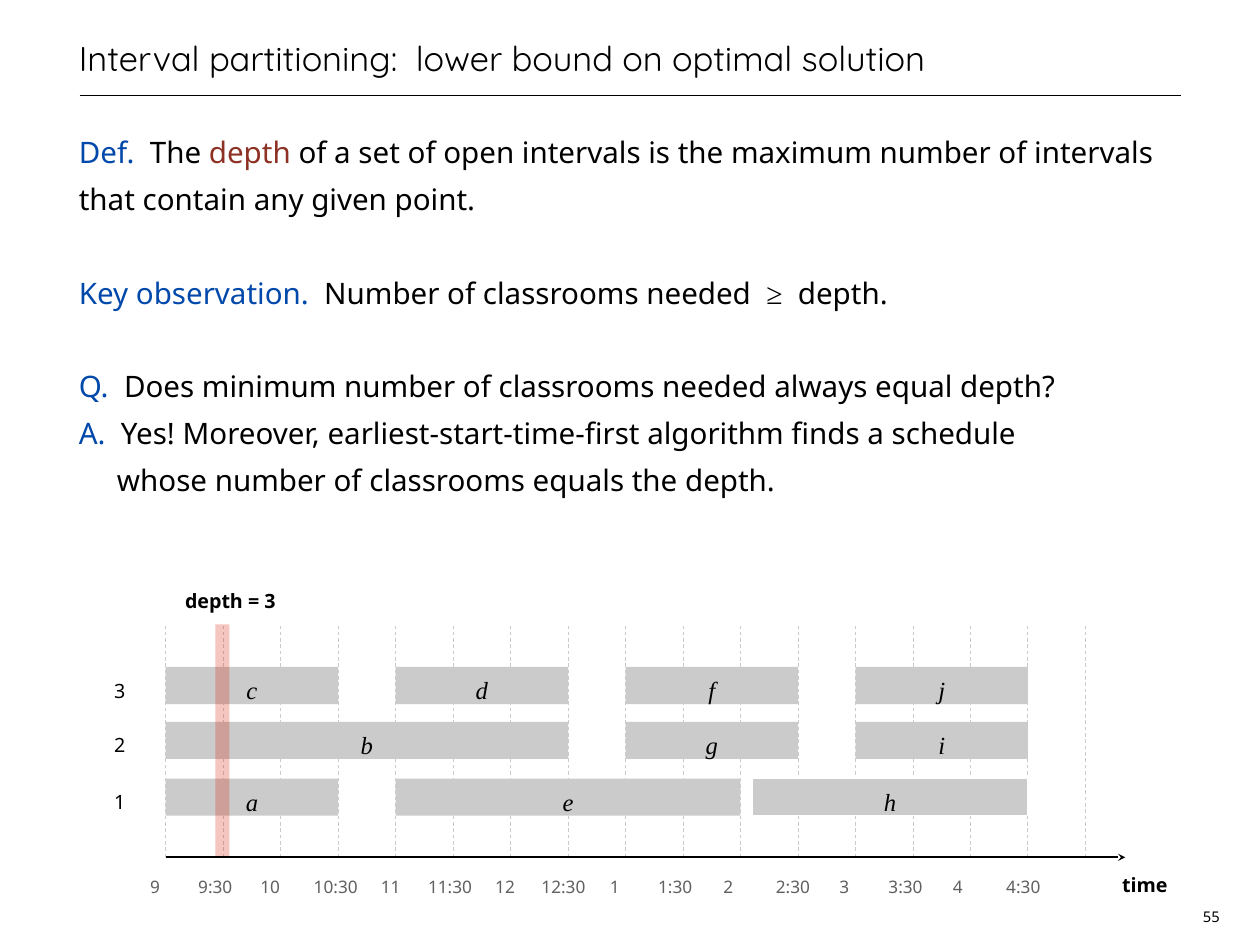
from lxml.etree import SubElement
from pptx import Presentation
from pptx.dml.color import RGBColor
from pptx.enum.dml import MSO_LINE
from pptx.enum.shapes import MSO_CONNECTOR, MSO_SHAPE
from pptx.enum.text import MSO_ANCHOR, MSO_AUTO_SIZE, PP_ALIGN
from pptx.oxml.ns import qn
from pptx.util import Inches, Pt

BLACK = RGBColor(0x00, 0x00, 0x00)
WHITE = RGBColor(0xFF, 0xFF, 0xFF)
BLUE = RGBColor(0x00, 0x48, 0xAA)
MAROON = RGBColor(0x8D, 0x31, 0x24)
RED = RGBColor(0xD8, 0x1E, 0x00)
SILVER = RGBColor(0xCB, 0xCB, 0xCB)
GRAY = RGBColor(0x60, 0x60, 0x60)
SANS, SERIF, HEADING = "Noto Sans", "Times New Roman", "Quicksand"

TITLE = "Interval partitioning:  lower bound on optimal solution"
STATEMENTS = [
    (0, [("Def.  ", BLUE, SANS), ("The ", BLACK, SANS), ("depth", MAROON, SANS),
         (" of a set of open intervals is the maximum number of intervals"
          " that contain any given point.", BLACK, SANS)]),
    (38, [("Key observation.  ", BLUE, SANS),
          ("Number of classrooms needed  ", BLACK, SANS),
          ("≥", BLACK, SERIF), ("  depth.", BLACK, SANS)]),
    (38, [("Q.  ", BLUE, SANS),
          ("Does minimum number of classrooms needed always equal depth?", BLACK, SANS)]),
    (0, [("A.  ", BLUE, SANS),
         ("Yes! Moreover, earliest-start-time-first algorithm finds a schedule",
          BLACK, SANS)]),
    (0, [("whose number of classrooms equals the depth.", BLACK, SANS)]),
]
ANSWER_INDENT = 0.43

CLASSROOM_TOPS = {"3": 7.53, "2": 8.15, "1": 8.79}
LECTURES = [
    ("a", "1", 0, 3), ("b", "2", 0, 7), ("c", "3", 0, 3), ("d", "3", 4, 7),
    ("e", "1", 4, 10), ("f", "3", 8, 11), ("g", "2", 8, 11),
    ("h", "1", 10.2, 15), ("i", "2", 12, 15), ("j", "3", 12, 15),
]
HOURS = [
    ("9", 1.75), ("9:30", 2.43), ("10", 3.05), ("10:30", 3.79),
    ("11", 4.41), ("11:30", 5.08), ("12", 5.7), ("12:30", 6.36),
    ("1", 6.94), ("1:30", 7.62), ("2", 8.22), ("2:30", 8.95),
    ("3", 9.53), ("3:30", 10.22), ("4", 10.81), ("4:30", 11.55),
]
SLOTS = 16
GRID_LEFT, GRID_RIGHT = 1.87, 12.25
GRID_TOP, AXIS_Y, AXIS_END = 7.07, 9.68, 12.7
LECTURE_HEIGHT = 0.42

deck = Presentation()
deck.slide_width, deck.slide_height = Inches(14.22), Inches(10.67)
slide = deck.slides.add_slide(deck.slide_layouts[6])
shapes = slide.shapes


def slot_x(slot):
    return GRID_LEFT + slot * (GRID_RIGHT - GRID_LEFT) / SLOTS


def add_run(paragraph, text, size, color, font):
    run = paragraph.add_run()
    run.text = text
    run.font.size = Pt(size)
    run.font.name = font
    run.font.color.rgb = color
    return run


def prepare_frame(frame, inset=0, wrap=True):
    frame.margin_left = frame.margin_right = Inches(inset)
    frame.margin_top = frame.margin_bottom = Inches(inset)
    frame.word_wrap = wrap
    return frame


def add_frame(left, top, width, height, inset=0, wrap=True):
    box = shapes.add_textbox(Inches(left), Inches(top), Inches(width), Inches(height))
    return prepare_frame(box.text_frame, inset, wrap)


def add_label(text, center, top, width, height, size, color=BLACK, bold=False,
              inset=0, spacing=1.3, before=0):
    frame = add_frame(center - width / 2, top, width, height, inset, wrap=False)
    frame.auto_size = MSO_AUTO_SIZE.SHAPE_TO_FIT_TEXT
    paragraph = frame.paragraphs[0]
    paragraph.alignment = PP_ALIGN.CENTER
    paragraph.line_spacing = spacing
    paragraph.space_before = Pt(before)
    add_run(paragraph, text, size, color, SANS).font.bold = bold


def add_rule(x1, y1, x2, y2, color, width, dash=None, arrow=None):
    rule = shapes.add_connector(MSO_CONNECTOR.STRAIGHT, Inches(x1), Inches(y1),
                                Inches(x2), Inches(y2))
    rule.line.color.rgb = color
    rule.line.width = Pt(width)
    if dash:
        rule.line.dash_style = dash
    properties = rule._element.spPr
    if arrow:
        SubElement(properties.find(qn("a:ln")), qn("a:tailEnd"), type=arrow)
    SubElement(properties, qn("a:effectLst"))


def add_block(left, top, width, height, color):
    block = shapes.add_shape(MSO_SHAPE.RECTANGLE, Inches(left), Inches(top),
                             Inches(width), Inches(height))
    block.shadow.inherit = False
    block.fill.solid()
    block.fill.fore_color.rgb = color
    block.line.fill.background()
    return block


add_rule(0.9, 1.08, 13.33, 1.08, BLACK, 1)
heading = add_frame(0.89, 0, 12.44, 0.89)
heading.vertical_anchor = MSO_ANCHOR.BOTTOM
heading.paragraphs[0].line_spacing = Pt(38)
add_run(heading.paragraphs[0], TITLE, 28, BLACK, HEADING)

body = add_frame(0.89, 1.39, 12.44, 4.4)
for index, (before, runs) in enumerate(STATEMENTS):
    statement = body.add_paragraph() if index else body.paragraphs[0]
    statement.line_spacing = Pt(38)
    statement.space_before = Pt(before)
    for text, color, font in runs:
        add_run(statement, text, 24, color, font)
statement._p.get_or_add_pPr().set("marL", str(Inches(ANSWER_INDENT)))

add_label("55", 13.67, 10.22, 0.31, 0.24, 12, inset=0.04, spacing=Pt(14))

for slot in range(SLOTS + 1):
    add_rule(slot_x(slot), AXIS_Y, slot_x(slot), GRID_TOP, SILVER, 0.75, MSO_LINE.DASH)

for letter, classroom, start, finish in LECTURES:
    lecture = add_block(slot_x(start), CLASSROOM_TOPS[classroom],
                        slot_x(finish) - slot_x(start), LECTURE_HEIGHT, SILVER)
    if letter == "h":
        lecture.line.color.rgb = WHITE
        lecture.line.width = Pt(0.75)
    frame = prepare_frame(lecture.text_frame)
    frame.vertical_anchor = MSO_ANCHOR.MIDDLE
    paragraph = frame.paragraphs[0]
    paragraph.alignment = PP_ALIGN.CENTER
    paragraph.line_spacing = 1.3
    add_run(paragraph, letter, 20, BLACK, SERIF).font.italic = True

for classroom, top in CLASSROOM_TOPS.items():
    add_label(classroom, 1.35, top + 0.05, 0.15, 0.21, 16)

depth_band = add_block(2.43, 7.05, 0.16, 2.62, RED)
band_color = depth_band._element.spPr.find(qn("a:solidFill")).find(qn("a:srgbClr"))
SubElement(band_color, qn("a:alpha"), val="25000")

add_label("time", 12.92, 9.78, 1.04, 0.25, 16, bold=True)
for hour, center in HOURS:
    add_label(hour, center, 9.82, 0.14 * len(hour), 0.19, 14, GRAY, before=9)
add_label("depth = 3", 2.6, 6.57, 1.14, 0.25, 16, bold=True)
add_rule(GRID_LEFT, AXIS_Y, AXIS_END, AXIS_Y, BLACK, 1.5, arrow="stealth")

deck.save("out.pptx")
